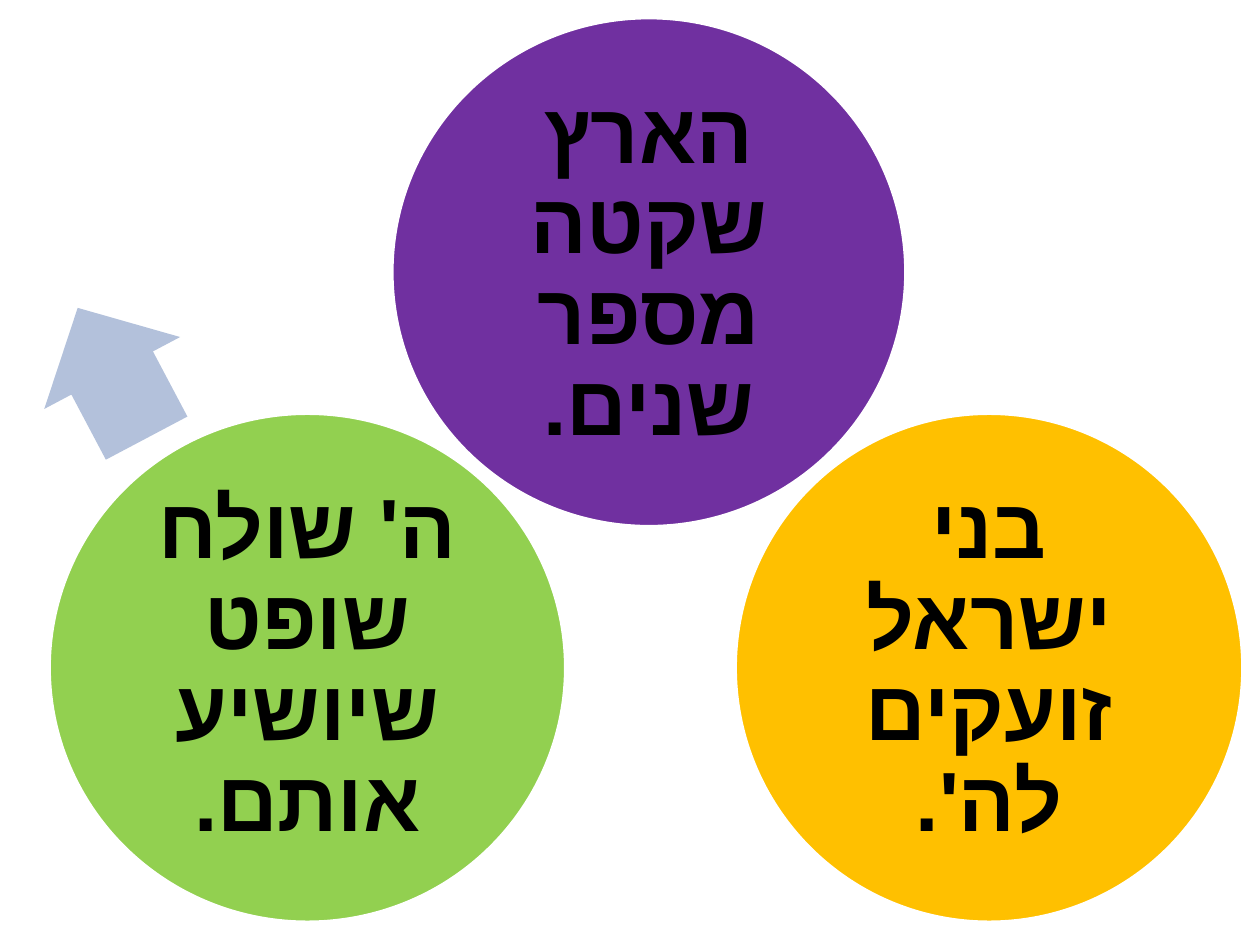
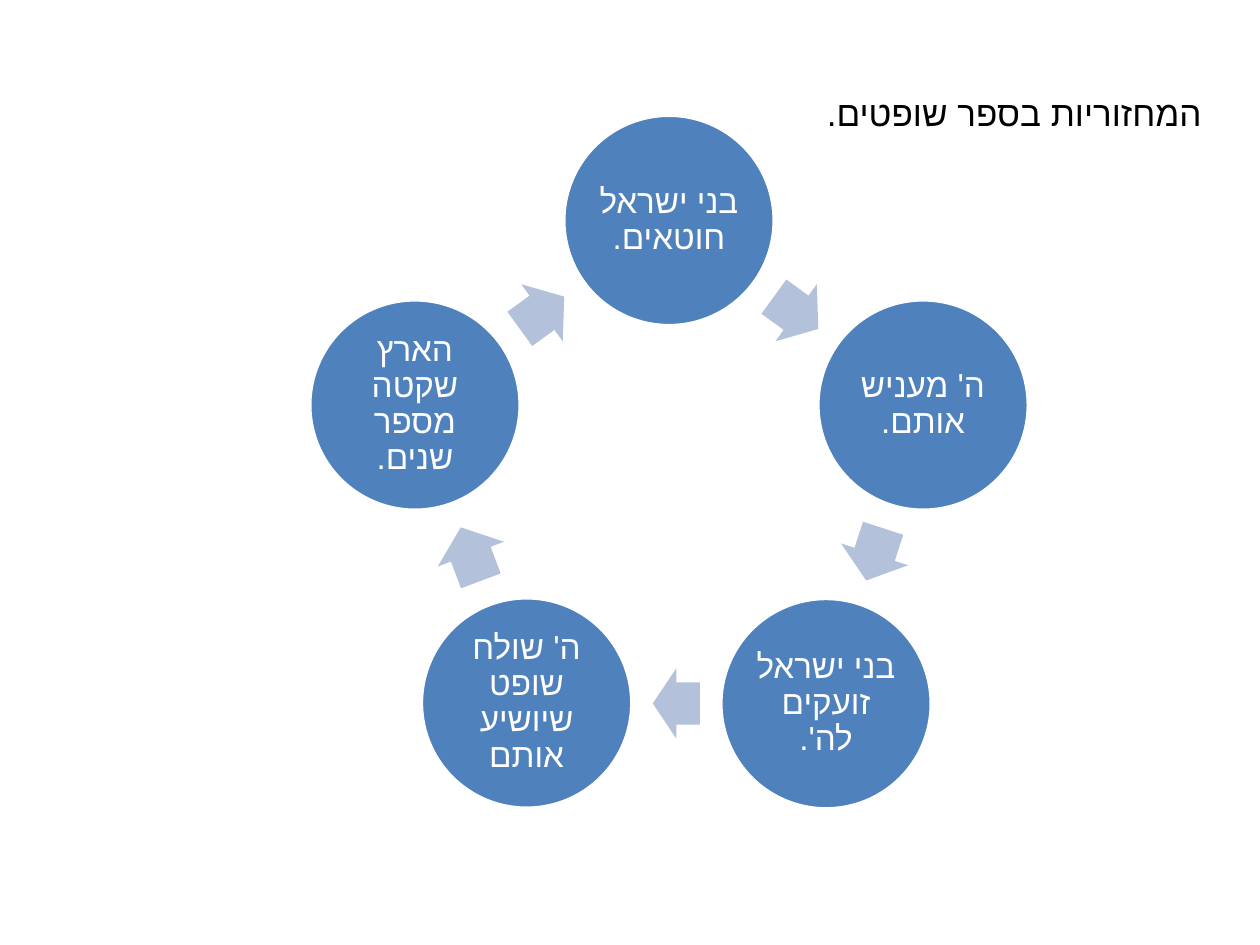
from dataclasses import dataclass
from math import atan2, cos, degrees, hypot, radians, sin

from lxml.etree import SubElement
from pptx import Presentation
from pptx.dml.color import RGBColor
from pptx.enum.lang import MSO_LANGUAGE_ID
from pptx.enum.shapes import MSO_SHAPE
from pptx.enum.text import MSO_ANCHOR, MSO_AUTO_SIZE, PP_ALIGN
from pptx.oxml.ns import qn
from pptx.util import Inches, Pt


@dataclass(frozen=True)
class Theme:
    font: str = "Calibri"
    hebrew_font: str = "Arial"
    black: str = "000000"
    white: str = "FFFFFF"
    blue: str = "4F81BD"
    arrow: str = "B3C1DB"
    purple: str = "7030A0"
    orange: str = "FFC000"
    green: str = "92D050"
    large: int = 48
    title: int = 20
    small: int = 19


THEME = Theme()


def write(shape, text, *, size, color, bold=False, align=PP_ALIGN.CENTER,
          anchor=MSO_ANCHOR.MIDDLE, spacing=0.9, margins=(0, 0)):
    """Put one right-to-left paragraph in a shape; margins are (sides, top and bottom)."""
    frame = shape.text_frame
    frame.word_wrap = True
    frame.auto_size = MSO_AUTO_SIZE.NONE
    frame.vertical_anchor = anchor
    frame.margin_left = frame.margin_right = Inches(margins[0])
    frame.margin_top = frame.margin_bottom = Inches(margins[1])
    para = frame.paragraphs[0]
    para.alignment = align
    para.line_spacing = spacing
    para._p.get_or_add_pPr().set("rtl", "1")
    span = para.add_run()
    span.text = text
    span.font.name = THEME.font
    span.font.size = Pt(size)
    span.font.bold = bold
    span.font.color.rgb = RGBColor.from_string(color)
    span.font.language_id = MSO_LANGUAGE_ID.HEBREW
    SubElement(span._r.get_or_add_rPr(), qn("a:cs"), typeface=THEME.hebrew_font)


def add_centred(slide, kind, center, width, height, fill, outline=None, angle=0):
    """Add a preset shape around its centre point."""
    x, y = center
    shape = slide.shapes.add_shape(kind, Inches(x - width / 2), Inches(y - height / 2),
                                   Inches(width), Inches(height))
    shape.shadow.inherit = False
    shape.fill.solid()
    shape.fill.fore_color.rgb = RGBColor.from_string(fill)
    if outline:
        shape.line.color.rgb = RGBColor.from_string(outline)
        shape.line.width = Pt(2)
    else:
        shape.line.fill.background()
    if kind == MSO_SHAPE.RIGHT_ARROW:
        shape.adjustments[0] = 0.6
        shape.adjustments[1] = 0.5
    shape.rotation = angle
    return shape


deck = Presentation()
deck.slide_width = Inches(10)
deck.slide_height = Inches(7.5)
title_only, blank = deck.slide_layouts[5], deck.slide_layouts[6]

# Slide 1: three large stages
stages_slide = deck.slides.add_slide(blank)
large_stages = [
    ("הארץ שקטה מספר שנים.", (5.15, 2.16), 4.08, THEME.purple),
    ("בני ישראל זועקים לה'.", (7.85, 5.3), 4.03, THEME.orange),
    ("ה' שולח שופט שיושיע אותם.", (2.44, 5.3), 4.1, THEME.green),
]
for text, center, width, fill in large_stages:
    circle = add_centred(stages_slide, MSO_SHAPE.OVAL, center, width, 4.04, fill, THEME.white)
    write(circle, text, size=THEME.large, color=THEME.black, bold=True)
add_centred(stages_slide, MSO_SHAPE.RIGHT_ARROW, (0.89, 2.96), 1.17, 1.22,
            THEME.arrow, angle=242.1)

# Slide 2: the whole cycle, five circles on a ring joined by arrows
cycle_slide = deck.slides.add_slide(title_only)
title = cycle_slide.shapes.title
title.left, title.top, title.width, title.height = map(Inches, (6.18, 0.68, 3.46, 0.44))
write(title, "המחזוריות בספר שופטים.", size=THEME.title, color=THEME.black,
      align=PP_ALIGN.RIGHT, anchor=MSO_ANCHOR.TOP, spacing=1.0, margins=(0.1, 0.05))

cycle_stages = [
    "בני ישראל חוטאים.",
    "ה' מעניש אותם.",
    "בני ישראל זועקים לה'.",
    "ה' שולח שופט שיושיע אותם",
    "הארץ שקטה מספר שנים.",
]
ring_x, ring_y, radius, diameter = 5.31, 3.87, 2.12, 1.67
step = 360 / len(cycle_stages)
centers = [(ring_x + radius * sin(radians(step * i)), ring_y - radius * cos(radians(step * i)))
           for i in range(len(cycle_stages))]
centers[3] = (4.18, 5.58)  # this stage sits slightly inside the ring

for i, text in enumerate(cycle_stages):
    x, y = centers[i]
    next_x, next_y = centers[(i + 1) % len(centers)]
    circle = add_centred(cycle_slide, MSO_SHAPE.OVAL, (x, y), diameter, diameter,
                         THEME.blue, THEME.white)
    write(circle, text, size=THEME.small, color=THEME.white, margins=(0.03, 0.03))
    gap = hypot(next_x - x, next_y - y) - diameter
    add_centred(cycle_slide, MSO_SHAPE.RIGHT_ARROW, ((x + next_x) / 2, (y + next_y) / 2),
                0.53 * gap, 0.56, THEME.arrow,
                angle=degrees(atan2(next_y - y, next_x - x)) % 360)

deck.save("out.pptx")
